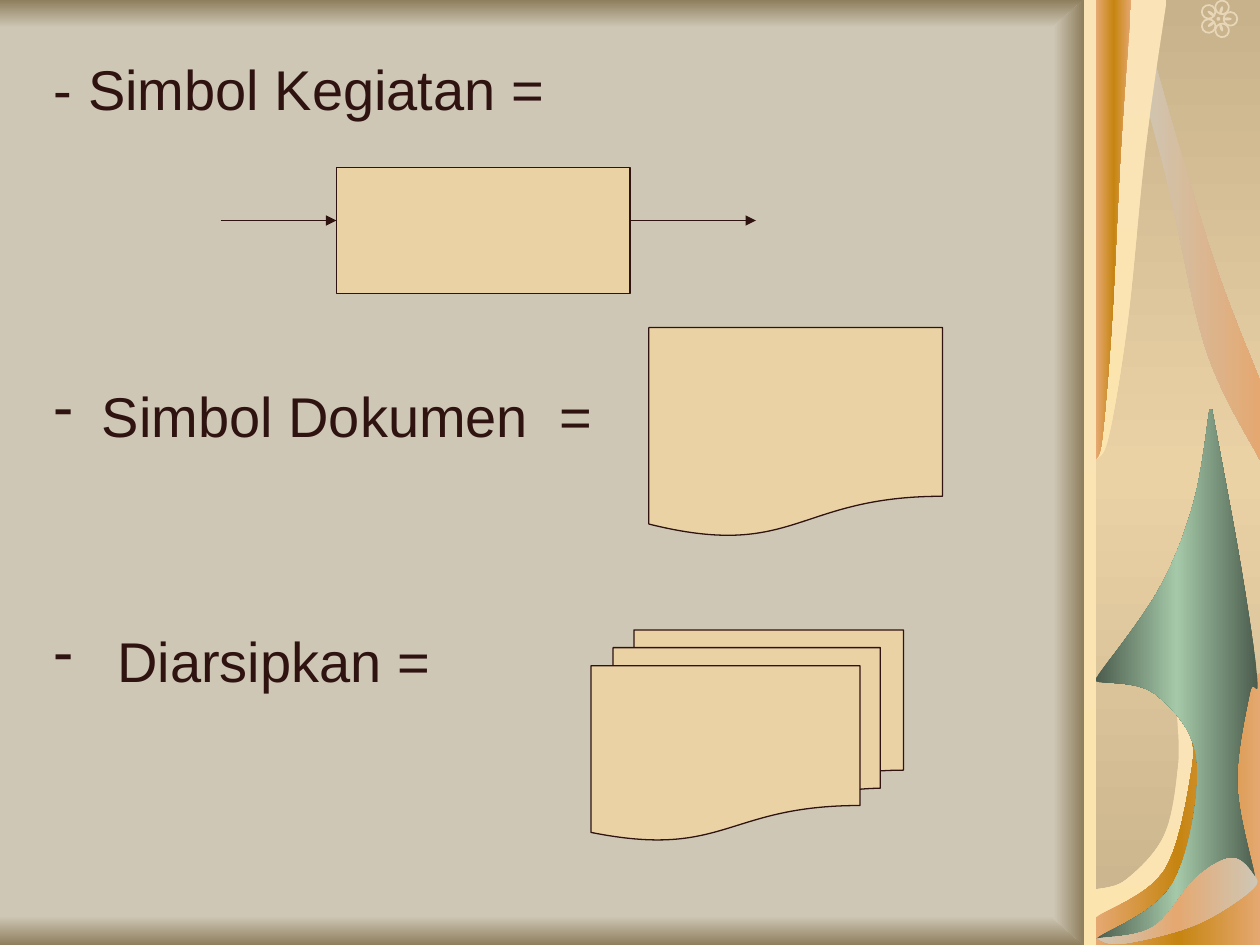
from copy import deepcopy
from math import cos, radians, sin

from pptx import Presentation
from pptx.dml.color import RGBColor
from pptx.enum.shapes import MSO_CONNECTOR as CONN, MSO_SHAPE as SHAPE
from pptx.oxml.ns import qn
from pptx.oxml.xmlchemy import OxmlElement
from pptx.util import Inches, Pt

STONE = RGBColor(0xCF, 0xC7, 0xB5)
SHADE = RGBColor(0x8E, 0x7F, 0x5E)
TAN = RGBColor(0xC7, 0xB2, 0x8C)
SAND = RGBColor(0xEB, 0xD2, 0xA5)
CREAM = RGBColor(0xFA, 0xE3, 0xB7)
BUTTER = RGBColor(0xFB, 0xE4, 0xAE)
PEACH = RGBColor(0xE5, 0xA8, 0x71)
OCHRE = RGBColor(0xC6, 0x85, 0x10)
MOSS = RGBColor(0x4C, 0x5D, 0x4E)
SAGE = RGBColor(0xA5, 0xC9, 0xA8)
PETAL = RGBColor(0xE7, 0xD6, 0xB7)
INK = RGBColor(0x2F, 0x13, 0x11)

RIGHT, DOWN = 0, 270
CREAM_DOWN = [CREAM, BUTTER], DOWN
OCHRE_RIGHT = [PEACH, OCHRE, PEACH], RIGHT

HOOP = [[(0.64, 5.64), (0.65, 6.08), (0.54, 6.63), (0.24, 6.98), (0, 7.06)],
        [(0, 7.5), (1.3, 7.5)], [(1.3, 5.64)]]
STEM = [[(0, 7.28), (0.54, 6.91), (0.76, 6.1), (0.74, 5.76)],
        [(1.3, 5.34), (1.3, 7.5)], [(0, 7.5)]]
LEAF = [[(0.9, 3.25), (0.77, 4), (0.49, 4.69), (0, 5.38)],
        [(0, 5.41), (0.47, 5.51), (0.8, 6.04), (0.61, 7.01), (0, 7.45)],
        [(0, 7.45), (0.64, 7.34), (1.01, 6.9), (1.26, 6.95)],
        [(1.26, 6.95), (1.12, 6.22), (1.22, 5.5), (1.28, 5.4), (1.15, 4.5), (0.92, 3.25)]]
RIBBON = [[(0.44, 0.4), (0.68, 1.24), (0.98, 2.2), (1.3, 3.02)],
          [(1.3, 3.65), (0.88, 2.8), (0.58, 1.5), (0.35, 0.58), (0.44, 0.4)]]
CURL = [[(0, 7.45), (0.45, 7.36), (0.79, 6.97), (1.07, 6.81), (1.24, 6.93),
         (1.24, 7.06), (0.79, 7.34), (0.21, 7.49), (0, 7.45)]]


def horn(w):
    return [[(0, 3.65), (w * 0.18, 3.46), (w * 0.45, 2.54), (w * 0.7, 1.18), (w, 0)], [(0, 0)]]


ORNAMENTS = [
    (HOOP, CREAM_DOWN),
    (STEM, OCHRE_RIGHT),
    (LEAF, ([MOSS, SAGE, MOSS], RIGHT)),
    (RIBBON, ([STONE, PEACH], RIGHT)),
    (horn(0.56), CREAM_DOWN),
    (horn(0.28), OCHRE_RIGHT),
    (CURL, ([STONE, PEACH, STONE], RIGHT)),
]


def paint_gradient(sp, colors, angle):
    sp.shadow.inherit = False
    sp.line.fill.background()
    sp.fill.gradient()
    sp.fill.gradient_angle = angle
    if len(colors) == 3:
        gs_list = sp._element.spPr.find(qn("a:gradFill")).find(qn("a:gsLst"))
        gs_list.insert(1, deepcopy(gs_list[0]))
    for i, (stop, color) in enumerate(zip(sp.fill.gradient_stops, colors)):
        stop.color.rgb = color
        stop.position = i / (len(colors) - 1)


def add_shape(s, kind, x, y, w, h):
    sp = s.shapes.add_shape(kind, Inches(x), Inches(y), Inches(w), Inches(h))
    sp.shadow.inherit = False
    return sp


def add_band(s, x, y, w, h, colors, angle):
    paint_gradient(add_shape(s, SHAPE.RECTANGLE, x, y, w, h), colors, angle)


def smooth(edge, steps=10):
    knots = [edge[0], *edge, edge[-1]]
    points = [edge[0]]
    for a, b, c, d in zip(knots, knots[1:], knots[2:], knots[3:]):
        for i in range(1, steps + 1):
            t = i / steps
            points.append(tuple(
                q + t * ((r - p) + t * ((2 * p - 5 * q + 4 * r - u) + t * (3 * q - p - 3 * r + u))) / 2
                for p, q, r, u in zip(a, b, c, d)))
    return points


def add_outline(s, left, top, edges, colors, angle):
    points = [(Inches(left + x), Inches(top + y)) for edge in edges for x, y in smooth(edge)]
    builder = s.shapes.build_freeform(*points[0], scale=1.0)
    builder.add_line_segments(points[1:], close=True)
    paint_gradient(builder.convert_to_shape(), colors, angle)


def add_flower(s, x, y, size):
    def oval(reach, w, h, angle):
        cx = x + size * (0.5 + reach * cos(radians(angle)))
        cy = y + size * (0.5 + reach * sin(radians(angle)))
        w, h = w * size, h * size
        sp = add_shape(s, SHAPE.OVAL, cx - w / 2, cy - h / 2, w, h)
        sp.rotation = angle
        return sp

    def fill_oval(sp):
        sp.fill.solid()
        sp.fill.fore_color.rgb = PETAL
        sp.line.fill.background()

    for angle in range(0, 360, 72):
        petal = oval(0.32, 0.36, 0.36, angle)
        petal.fill.background()
        petal.line.color.rgb = PETAL
        petal.line.width = Pt(1)
        fill_oval(oval(0.24, 0.22, 0.08, angle))
    fill_oval(oval(0, 0.1, 0.1, 0))


def add_frame(s, x, y, w, h):
    add_band(s, x, y + h - 0.23, w, 0.23, [STONE, SHADE], DOWN)
    add_band(s, x, y, w, 0.22, [SHADE, STONE], DOWN)
    edge = [[(w - 0.24, 0.21)], [(w, 0)], [(w, h)], [(w - 0.24, h - 0.21)]]
    add_outline(s, x, y, edge, [STONE, SHADE], RIGHT)


def add_side_panel(s, x, y, w, h):
    add_band(s, x, y, w, h, [TAN, SAND, TAN], DOWN)
    add_flower(s, x + 0.82, y, 0.3)
    for edges, (colors, angle) in ORNAMENTS:
        add_outline(s, x, y, edges, colors, angle)
    add_band(s, x - 0.1, y, 0.1, h, *CREAM_DOWN)


def add_labels(s, x, y, w, h):
    tf = s.shapes.add_textbox(Inches(x), Inches(y), Inches(w), Inches(h)).text_frame
    tf.word_wrap = True
    labels = [("- Simbol Kegiatan =", 0, False), ("Simbol Dokumen  =", 149, True),
              (" Diarsipkan =", 101.5, True)]
    for i, (text, gap, bullet) in enumerate(labels):
        p = tf.paragraphs[0] if i == 0 else tf.add_paragraph()
        p.text = text
        p.space_before = Pt(gap)
        font = p.runs[0].font
        font.name, font.size, font.color.rgb = "Arial", Pt(32), INK
        if bullet:
            pPr = p._p.get_or_add_pPr()
            pPr.set("marL", str(Inches(0.38)))
            pPr.set("indent", str(Inches(-0.38)))
            bu = OxmlElement("a:buChar")
            bu.set("char", "-")
            pPr.append(bu)


def add_symbol(s, kind, x, y, w, h):
    sp = add_shape(s, kind, x, y, w, h)
    sp.fill.solid()
    sp.fill.fore_color.rgb = SAND
    sp.line.color.rgb = INK
    sp.line.width = Pt(0.75)


def add_arrow(s, x1, x2, y):
    cn = s.shapes.add_connector(CONN.STRAIGHT, Inches(x1), Inches(y), Inches(x2), Inches(y))
    cn.line.color.rgb = INK
    cn.line.width = Pt(0.75)
    tail = OxmlElement("a:tailEnd")
    tail.set("type", "triangle")
    cn._element.spPr.find(qn("a:ln")).append(tail)
    cn._element.spPr.append(OxmlElement("a:effectLst"))


def add_activity(s, x, y, w, h):
    add_symbol(s, SHAPE.RECTANGLE, x, y, w, h)
    add_arrow(s, x - 0.92, x, y + 0.42)
    add_arrow(s, x + w, x + w + 1, y + 0.42)


def main():
    prs = Presentation()
    prs.slide_width, prs.slide_height = Inches(10), Inches(7.5)
    s = prs.slides.add_slide(prs.slide_layouts[6])
    s.background.fill.solid()
    s.background.fill.fore_color.rgb = STONE
    add_frame(s, 0, 0, 8.6, 7.5)
    add_side_panel(s, 8.7, 0, 1.3, 7.5)
    add_labels(s, 0.33, 0.38, 8.2, 7)
    add_activity(s, 2.67, 1.33, 2.33, 1)
    add_symbol(s, SHAPE.FLOWCHART_DOCUMENT, 5.15, 2.6, 2.33, 1.67)
    add_symbol(s, SHAPE.FLOWCHART_MULTIDOCUMENT, 4.69, 5, 2.48, 1.67)
    prs.save("out.pptx")


if __name__ == "__main__":
    main()
